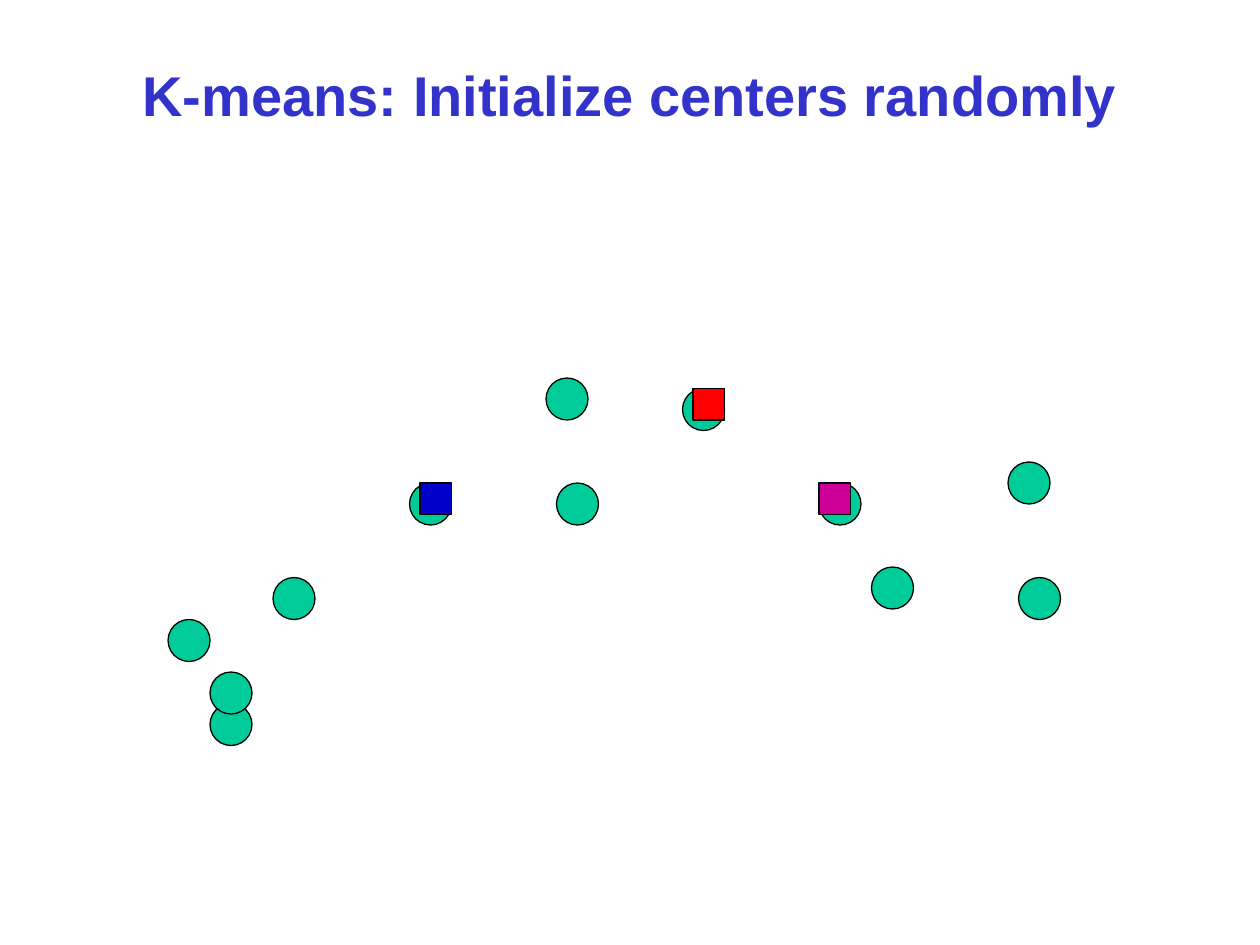
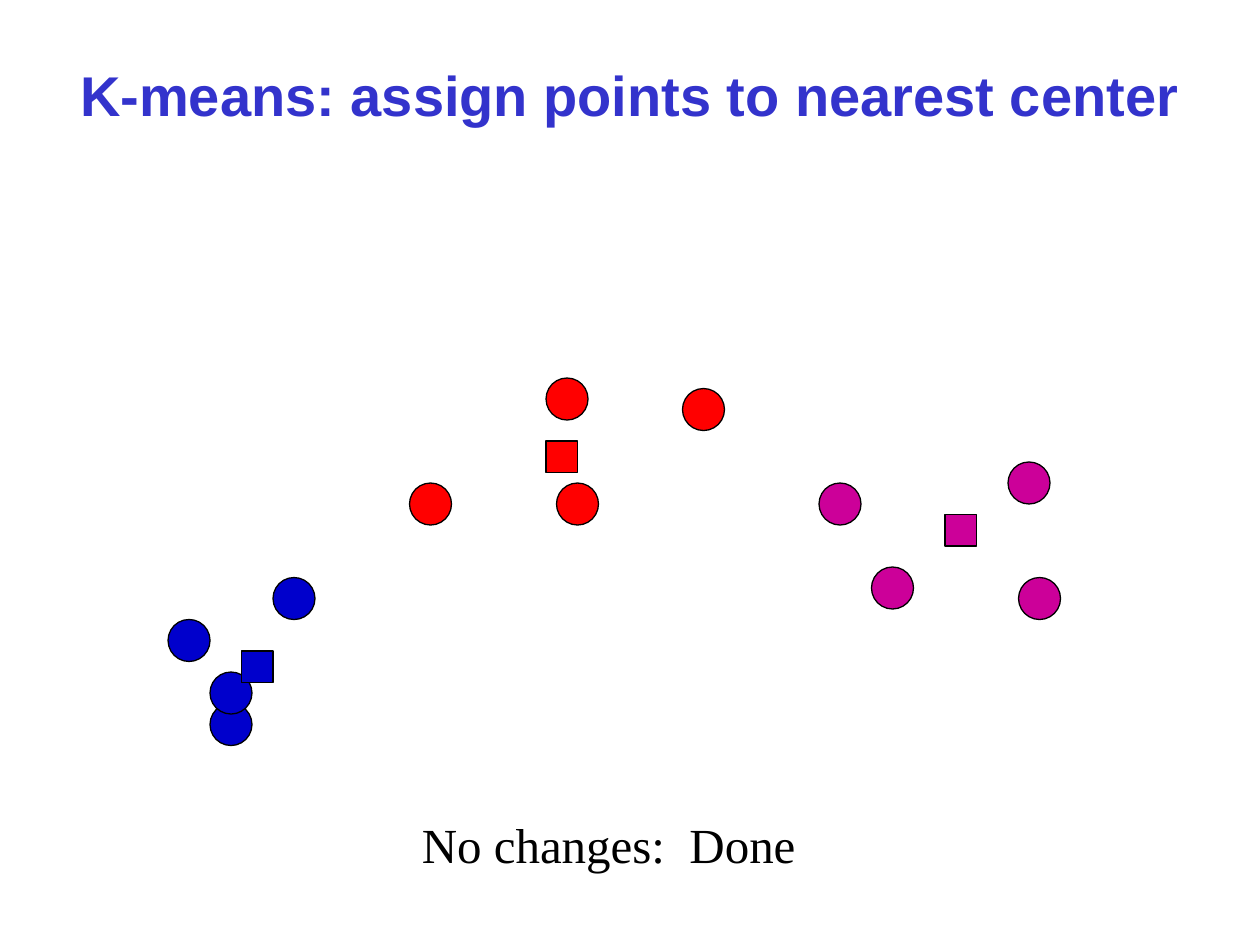
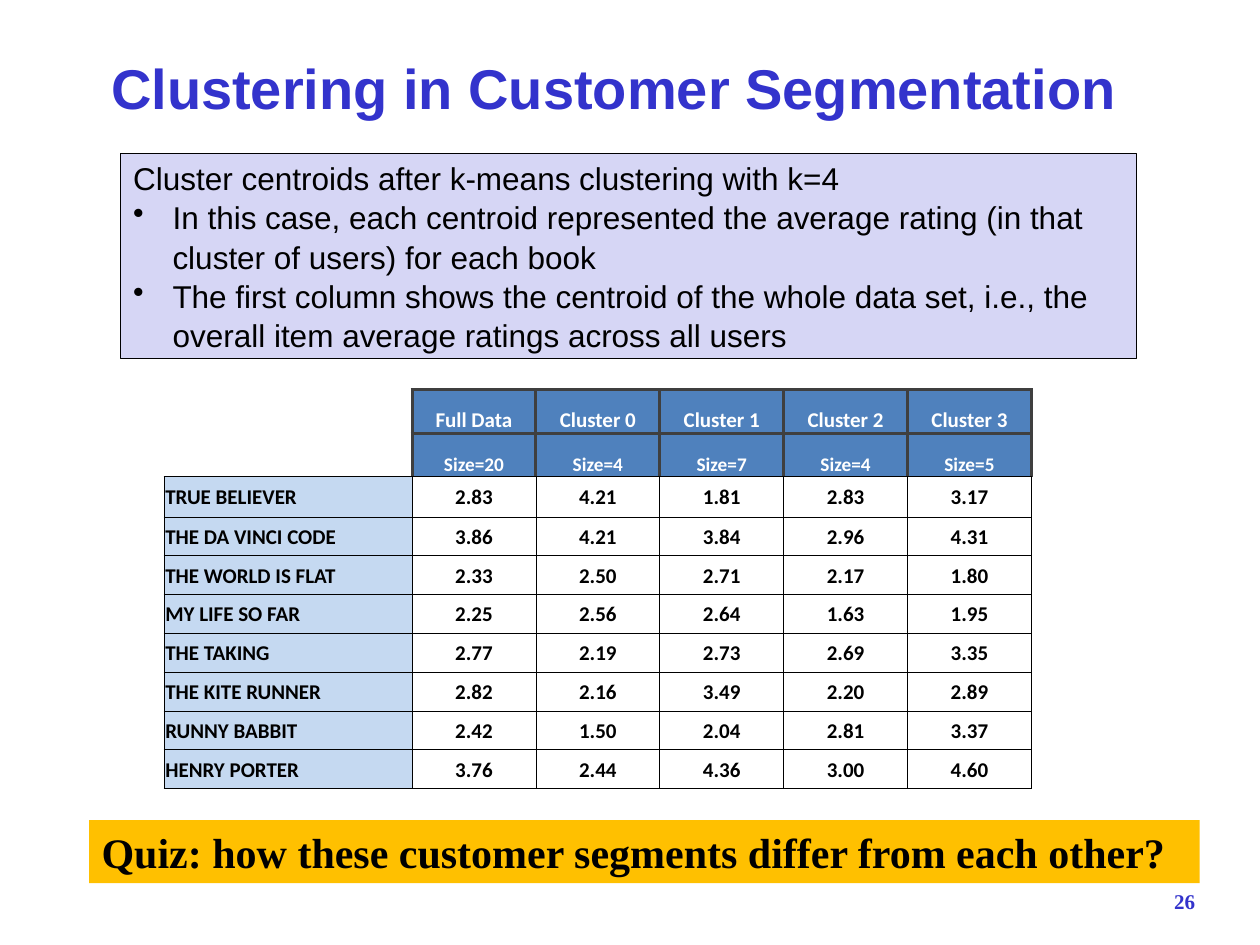
import lxml.etree
import pptx
import pptx.dml.color
import pptx.enum.shapes
import pptx.enum.text
import pptx.oxml.ns
import pptx.util

# Content: every length is in px, 96 to the inch
COLORS = {
    "title": "3333CC", "text": "000000", "white": "FFFFFF", "line": "000000",
    "none": "00CC99", "blue": "0000CC", "red": "FF0000", "purple": "CC0099",
    "note": "D6D6F5", "quiz": "FFC000",
    "header": "4F81BD", "header line": "3F3F3F", "book": "C5D9F1",
}
POINTS = [
    (160, 536, "blue"), (128, 472, "blue"), (208, 440, "blue"),
    (768, 352, "purple"), (416, 288, "red"), (520, 296, "red"),
    (424, 368, "red"), (312, 368, "red"), (776, 440, "purple"),
    (624, 368, "purple"), (160, 512, "blue"), (664, 432, "purple"),
]
START_CENTERS = [(320, 368, "blue"), (528, 296, "red"), (624, 368, "purple")]
FINAL_CENTERS = [(184, 496, "blue"), (416, 336, "red"), (720, 392, "purple")]
POINT_SIZE, CENTER_SIZE = 32, 24
TITLE_BOX = (48, 40, 864, 64)

NOTE_LEAD = "Cluster centroids after k-means clustering with k=4"
NOTE_BULLETS = [
    "In this case, each centroid represented the average rating (in that cluster of users) for each book",
    "The first column shows the centroid of the whole data set, i.e., the overall item average ratings across all users",
]
RATINGS = [
    ("", "Full Data", "Cluster 0", "Cluster 1", "Cluster 2", "Cluster 3"),
    ("", "Size=20", "Size=4", "Size=7", "Size=4", "Size=5"),
    ("TRUE BELIEVER", "2.83", "4.21", "1.81", "2.83", "3.17"),
    ("THE DA VINCI CODE", "3.86", "4.21", "3.84", "2.96", "4.31"),
    ("THE WORLD IS FLAT", "2.33", "2.50", "2.71", "2.17", "1.80"),
    ("MY LIFE SO FAR", "2.25", "2.56", "2.64", "1.63", "1.95"),
    ("THE TAKING", "2.77", "2.19", "2.73", "2.69", "3.35"),
    ("THE KITE RUNNER", "2.82", "2.16", "3.49", "2.20", "2.89"),
    ("RUNNY BABBIT", "2.42", "1.50", "2.04", "2.81", "3.37"),
    ("HENRY PORTER", "3.76", "2.44", "4.36", "3.00", "4.60"),
]
TABLE_BOX = (125, 297, 661, 304)
BOOK_WIDTH = 189
TOP_ROWS = [33, 33, 31]

SHAPE = pptx.enum.shapes.MSO_SHAPE
ALIGN = pptx.enum.text.PP_ALIGN
ANCHOR = pptx.enum.text.MSO_ANCHOR


# Shared helpers
def px(n):
    return pptx.util.Emu(n * 9525)


def rgb(name):
    return pptx.dml.color.RGBColor.from_string(COLORS[name])


def write(p, text, size, color="text", font="Times New Roman", bold=False, align=ALIGN.LEFT):
    p.alignment = align
    r = p.add_run()
    r.text = text
    r.font.size = pptx.util.Pt(size)
    r.font.name = font
    r.font.bold = bold
    r.font.color.rgb = rgb(color)


def add_slide(prs, title, box=TITLE_BOX):
    slide = prs.slides.add_slide(prs.slide_layouts[5])
    sp = slide.shapes.title
    sp.left, sp.top, sp.width, sp.height = map(px, box)
    tf = sp.text_frame
    tf.auto_size = pptx.enum.text.MSO_AUTO_SIZE.NONE
    tf.vertical_anchor = ANCHOR.MIDDLE
    write(tf.paragraphs[0], title, 32, "title", "Arial", True, ALIGN.CENTER)
    return slide


def add_shape(slide, kind, box, fill):
    sp = slide.shapes.add_shape(kind, *map(px, box))
    sp.shadow.inherit = False
    sp.fill.solid()
    sp.fill.fore_color.rgb = rgb(fill)
    sp.line.color.rgb = rgb("line")
    sp.line.width = pptx.util.Pt(0.75)
    return sp


def add_text(slide, box, text, size, **style):
    sp = slide.shapes.add_textbox(*map(px, box))
    sp.text_frame.word_wrap = True
    write(sp.text_frame.paragraphs[0], text, size, **style)
    return sp


def add_bullet(p, indent):
    pPr = p._p.get_or_add_pPr()
    pPr.set("marL", str(indent))
    pPr.set("indent", str(-indent))
    bullet = lxml.etree.SubElement(pPr, pptx.oxml.ns.qn("a:buChar"))
    bullet.set("char", "•")


def set_borders(cell, sides):
    """sides maps L, R, T, B, in that order, to (colour, points)."""
    qn = pptx.oxml.ns.qn
    tcPr = cell._tc.get_or_add_tcPr()
    for i, (side, (color, width)) in enumerate(sides.items()):
        ln = lxml.etree.Element(qn("a:ln" + side), w=str(pptx.util.Pt(width)))
        fill = lxml.etree.SubElement(ln, qn("a:solidFill"))
        lxml.etree.SubElement(fill, qn("a:srgbClr"), val=COLORS[color])
        tcPr.insert(i, ln)


# Scatter of points with their cluster centers
def draw_clusters(slide, centers, assigned):
    for x, y, cluster in POINTS:
        add_shape(slide, SHAPE.OVAL, (x, y, POINT_SIZE, POINT_SIZE),
                  cluster if assigned else "none")
    for x, y, cluster in centers:
        add_shape(slide, SHAPE.RECTANGLE, (x, y, CENTER_SIZE, CENTER_SIZE), cluster)


# Table of average ratings
def format_cell(cell, text, row, col):
    header, corner = row < 2, row < 2 and col == 0
    cell.margin_left = cell.margin_right = cell.margin_top = px(1)
    cell.margin_bottom = 0
    cell.vertical_anchor = ANCHOR.BOTTOM if header else ANCHOR.MIDDLE
    fill = "book" if col == 0 else "header" if header else None
    if corner or not fill:
        cell.fill.background()
    else:
        cell.fill.solid()
        cell.fill.fore_color.rgb = rgb(fill)
    if text:
        write(cell.text_frame.paragraphs[0], text, 11 if row == 1 else 12,
              "white" if header else "text", "Calibri", True,
              ALIGN.CENTER if col else ALIGN.LEFT)
    thin, thick = ("line", 0.5), ("header line", 2)
    sides = dict.fromkeys("LRTB", thick if header else thin)
    if row == 1:
        sides["B"] = thin
    if corner:
        sides = {"R": thick, "B": thin} if row == 1 else {"R": thick}
    set_borders(cell, sides)


def add_ratings(slide):
    frame = slide.shapes.add_table(len(RATINGS), len(RATINGS[0]), *map(px, TABLE_BOX))
    table = frame.table
    table.first_row = table.horz_banding = False
    for i, col in enumerate(table.columns):
        col.width = px(TABLE_BOX[2] - BOOK_WIDTH) // 5 if i else px(BOOK_WIDTH)
    rest = px(TABLE_BOX[3] - sum(TOP_ROWS)) // (len(RATINGS) - len(TOP_ROWS))
    for i, row in enumerate(table.rows):
        row.height = px(TOP_ROWS[i]) if i < len(TOP_ROWS) else rest
    for i, values in enumerate(RATINGS):
        for j, text in enumerate(values):
            format_cell(table.cell(i, j), text, i, j)


def add_note(slide):
    sp = add_shape(slide, SHAPE.RECTANGLE, (92, 117, 774, 156), "note")
    tf = sp.text_frame
    tf.word_wrap = True
    tf.vertical_anchor = ANCHOR.MIDDLE
    for i, text in enumerate([NOTE_LEAD] + NOTE_BULLETS):
        p = tf.add_paragraph() if i else tf.paragraphs[0]
        p.line_spacing = 1.04
        write(p, text, 18, font="Arial")
        if i:
            add_bullet(p, px(30))


def main():
    prs = pptx.Presentation()
    prs.slide_width, prs.slide_height = px(960), px(720)

    # Random start
    slide = add_slide(prs, "K-means: Initialize centers randomly")
    draw_clusters(slide, START_CENTERS, assigned=False)

    # Final assignment
    slide = add_slide(prs, "K-means: assign points to nearest center")
    draw_clusters(slide, FINAL_CENTERS, assigned=True)
    sp = add_text(slide, (312, 616, 536, 55), "No changes:  Done", 28)
    sp.text_frame.paragraphs[0].space_before = pptx.util.Pt(3)

    # Customer segments
    slide = add_slide(prs, "Clustering in Customer Segmentation", (29, 25, 878, 83))
    add_text(slide, (720, 672, 200, 32), "26", 12, color="title", bold=True, align=ALIGN.RIGHT)
    add_note(slide)
    add_ratings(slide)
    quiz = add_text(slide, (68, 625, 846, 48),
                    "Quiz: how these customer segments differ from each other?", 24, bold=True)
    quiz.fill.solid()
    quiz.fill.fore_color.rgb = rgb("quiz")

    prs.save("out.pptx")


if __name__ == "__main__":
    main()
